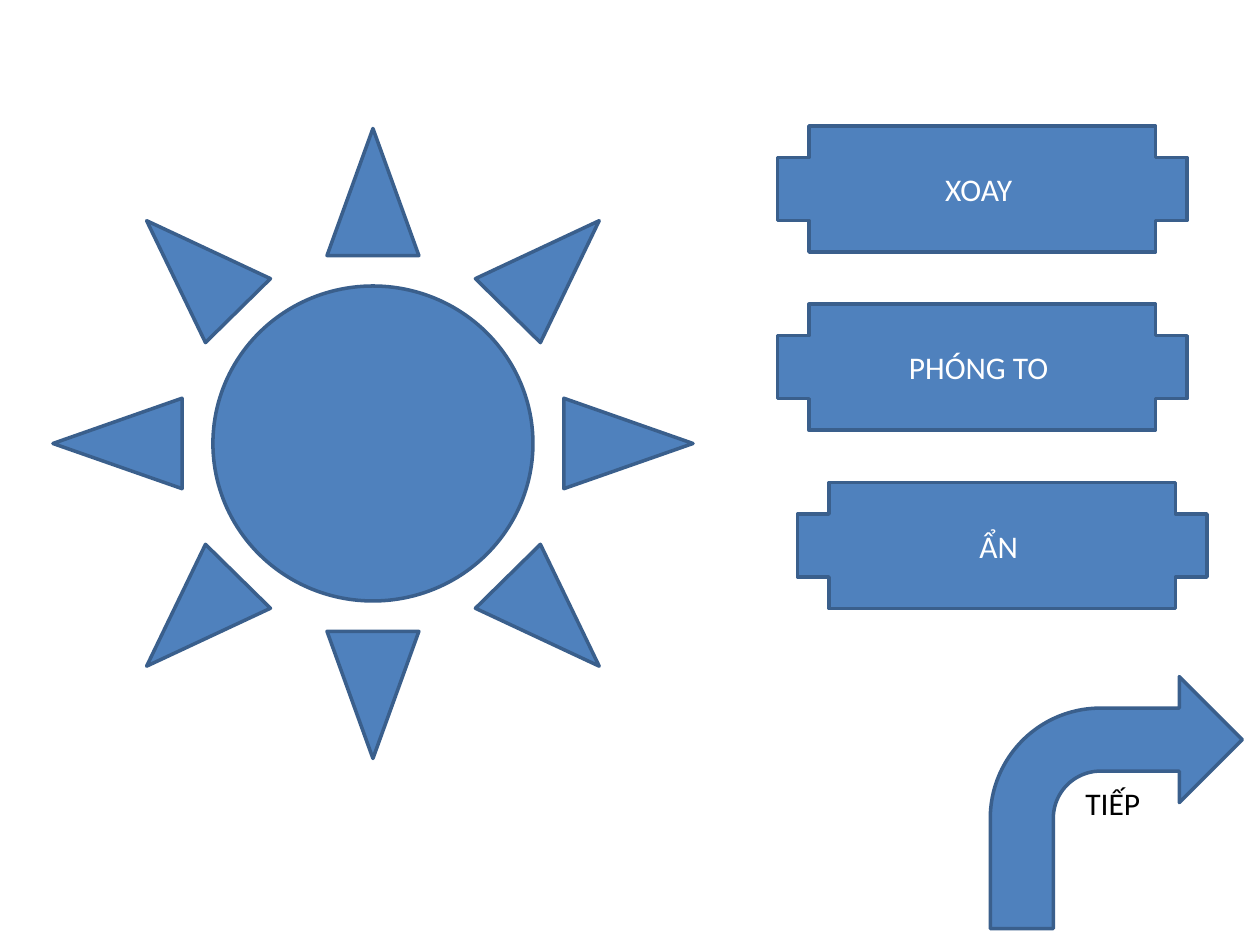
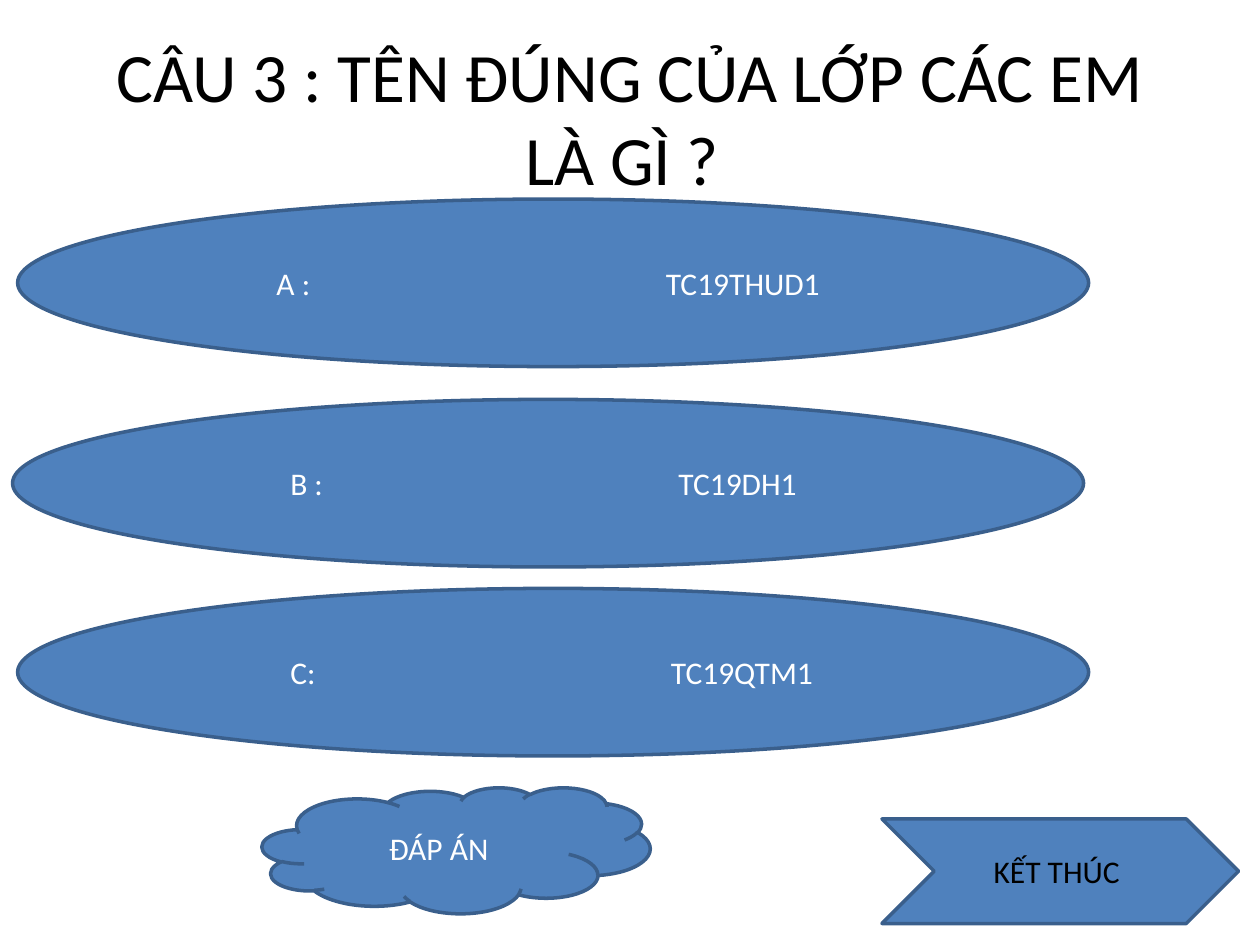
from dataclasses import dataclass

from lxml import etree
from pptx import Presentation
from pptx.dml.color import RGBColor
from pptx.enum.shapes import MSO_SHAPE as SHAPE
from pptx.enum.text import MSO_ANCHOR as ANCHOR, PP_ALIGN as ALIGN
from pptx.oxml.ns import qn
from pptx.util import Inches, Pt


@dataclass(frozen=True)
class Theme:
    font: str = "Calibri"
    fill: RGBColor = RGBColor(0x4F, 0x81, 0xBD)
    line: RGBColor = RGBColor(0x3A, 0x5F, 0x8C)
    light: RGBColor = RGBColor(0xFF, 0xFF, 0xFF)
    dark: RGBColor = RGBColor(0, 0, 0)
    line_width: float = 2
    body: float = 18
    title: float = 39.6


@dataclass(frozen=True)
class Box:
    x: float
    y: float
    w: float
    h: float

    def inner(self, dx, dy, w, h):
        return Box(self.x + dx, self.y + dy, w, h)

    def lengths(self):
        return [Inches(v) for v in (self.x, self.y, self.w, self.h)]


theme = Theme()


def write(sp, text, color, size=theme.body, align=ALIGN.CENTER):
    tf = sp.text_frame
    tf.word_wrap = True
    tf.vertical_anchor = ANCHOR.MIDDLE
    p = tf.paragraphs[0]
    p.alignment = align
    r = p.add_run()
    r.text = text
    r.font.name = theme.font
    r.font.size = Pt(size)
    r.font.color.rgb = color
    return p


def add_figure(s, kind, box, text=None, color=theme.light):
    sp = s.shapes.add_shape(kind, *box.lengths())
    sp.shadow.inherit = False
    sp.fill.solid()
    sp.fill.fore_color.rgb = theme.fill
    sp.line.color.rgb = theme.line
    sp.line.width = Pt(theme.line_width)
    if text:
        write(sp, text, color)
    return sp


def add_title(s, box, text):
    sp = s.shapes.add_textbox(*box.lengths())
    write(sp, text, theme.dark, theme.title)


def add_buttons(s, box, buttons, height=1):
    pitch = (box.h - height) / (len(buttons) - 1)
    for i, (text, shift) in enumerate(buttons):
        add_figure(s, SHAPE.CROSS, box.inner(shift, i * pitch, box.w, height), text)


def add_answer(s, box, label, answer, indent, tab):
    sp = add_figure(s, SHAPE.OVAL, box)
    sp.text_frame.margin_left = Inches(indent)
    p = write(sp, f"{label}\t{answer}", theme.light, align=ALIGN.LEFT)
    stops = etree.SubElement(p._p.get_or_add_pPr(), qn("a:tabLst"))
    etree.SubElement(stops, qn("a:tab"), pos=str(Inches(tab)), algn="l")


def add_answers(s, box, answers, height=1.33):
    for shift, top, *content in answers:
        add_answer(s, box.inner(shift, top, box.w, height), *content)


def effects_slide(prs, box):
    s = prs.slides.add_slide(prs.slide_layouts[6])
    add_figure(s, SHAPE.SUN, box.inner(0.42, 1.02, 5.08, 5))
    add_buttons(s, box.inner(6.17, 1, 3.25, 3.83),
                [("XOAY ", 0), ("PHÓNG TO ", 0), ("ẨN ", 0.16)])
    add_figure(s, SHAPE.BENT_ARROW, box.inner(7.86, 5.37, 2, 2), "TIẾP ", theme.dark)


def question_slide(prs, box):
    s = prs.slides.add_slide(prs.slide_layouts[6])
    add_title(s, box.inner(0.5, 0.3, 9, 1.25), "CÂU 3 : TÊN ĐÚNG CỦA LỚP CÁC EM LÀ GÌ ? ")
    add_answers(s, box.inner(0.1, 1.58, 8.5, 4.42), [
        (0.04, 0, "A :", "TC19THUD1", 0.81, 3.09),
        (0, 1.59, "B :", "TC19DH1", 0.96, 3.08),
        (0.04, 3.09, "C:", "TC19QTM1", 0.92, 3.02),
    ])
    add_figure(s, SHAPE.CLOUD, box.inner(2.08, 6.25, 3.08, 1), "ĐÁP ÁN ")
    add_figure(s, SHAPE.CHEVRON, box.inner(7, 6.5, 2.83, 0.83), "KẾT THÚC ", theme.dark)


prs = Presentation()
page = Box(0, 0, 10, 7.5)
prs.slide_width, prs.slide_height = Inches(page.w), Inches(page.h)
effects_slide(prs, page)
question_slide(prs, page)
prs.save("out.pptx")
